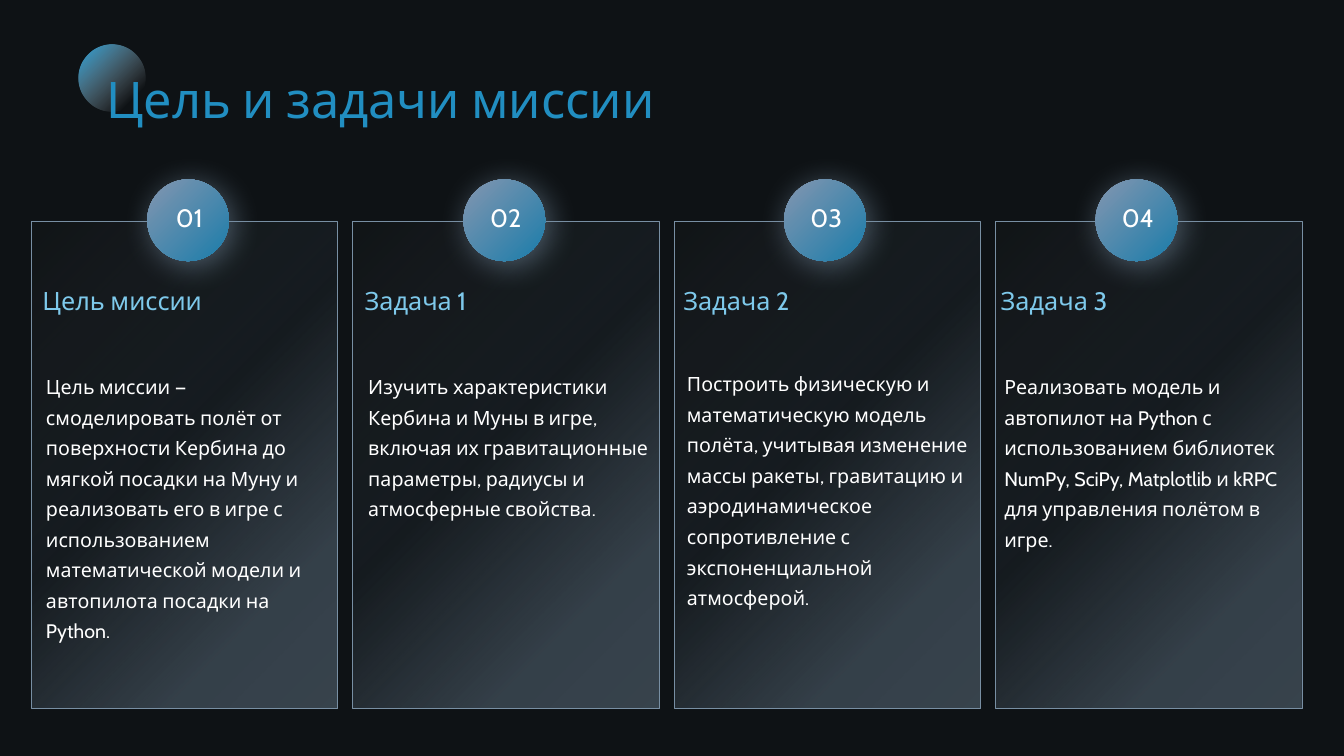
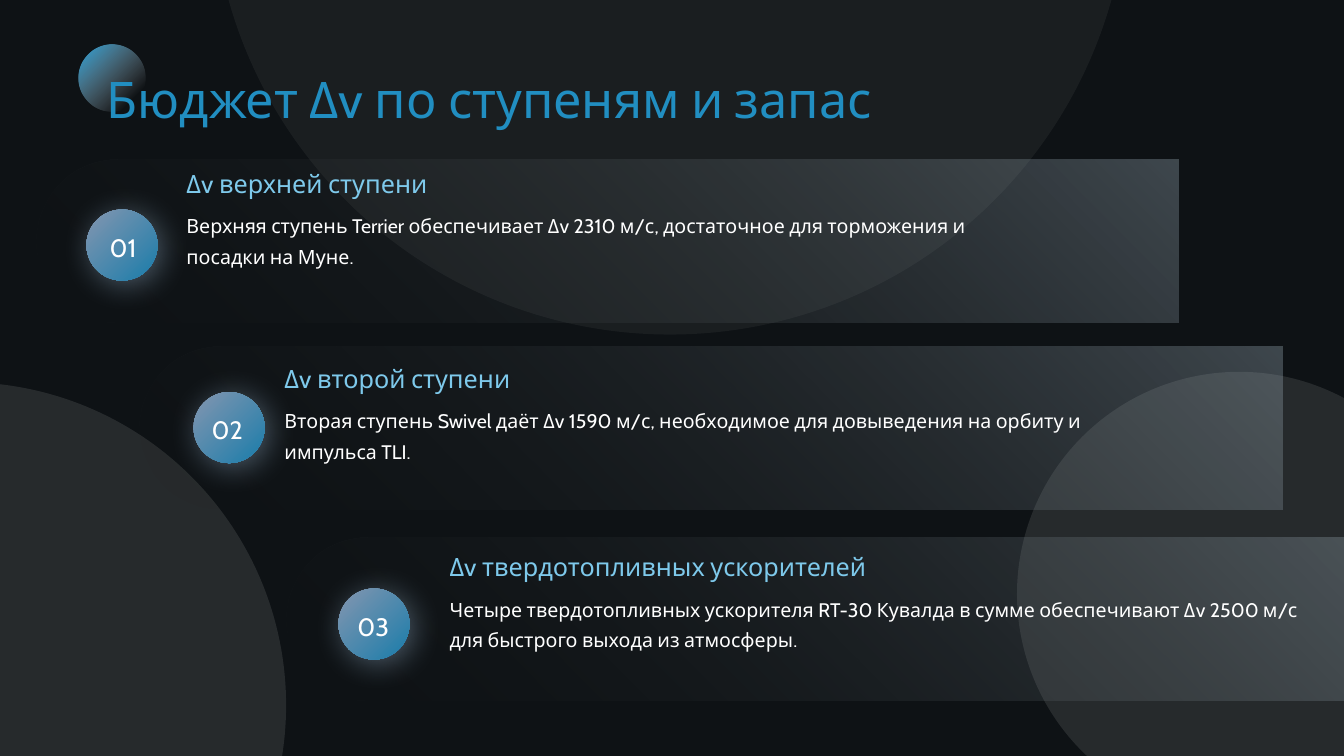
from pptx import Presentation
from pptx.dml.color import RGBColor
from pptx.enum.shapes import MSO_SHAPE
from pptx.enum.text import MSO_ANCHOR, MSO_AUTO_SIZE, PP_ALIGN
from pptx.oxml import parse_xml
from pptx.oxml.ns import nsdecls, qn
from pptx.util import Cm, Pt

RECTANGLE = MSO_SHAPE.RECTANGLE
OVAL = MSO_SHAPE.OVAL
ROUND_TOP = MSO_SHAPE.ROUND_2_SAME_RECTANGLE
LEFT, CENTER = PP_ALIGN.LEFT, PP_ALIGN.CENTER
TOP = MSO_ANCHOR.TOP
GROW, FIXED = MSO_AUTO_SIZE.SHAPE_TO_FIT_TEXT, MSO_AUTO_SIZE.NONE

# Shared style
FONT = "Cabin"
BACKGROUND = "0E1215"
TITLE_BLUE = "218EC1"
HEADING_BLUE = "7EC9EB"
WHITE = "FFFFFF"
STEEL = "788FA3"
INSET = 0.13

# Gradient stops: position %, colour, opacity %
CARD_STOPS = [(0, STEEL, 39), (22, STEEL, 36), (54, STEEL, 7), (100, "232322", 15)]
BADGE_STOPS = [(0, "8496B0", 100), (100, "1A7CAA", 100)]
ORB_STOPS = [(0, "28A4DE", 100), (81, "C5C9CE", 0), (100, "C5C9CE", 0)]
BAR_STOPS = [(0, "A4B6C2", 33), (100, "232322", 0)]
CORNER_PATH = '<a:path path="circle"><a:fillToRect l="100000" b="100000"/></a:path>'

# Goal cards: badge left, text left, body top, heading, body (cm)
CARD_LEFT, CARD_TOP, CARD_STEP = 0.79, 5.59, 8.1
CARDS = [
    (3.71, 1.07, 9.14, "Цель миссии",
     "Цель миссии — смоделировать полёт от поверхности Кербина до мягкой посадки "
     "на Муну и реализовать его в игре с использованием математической модели "
     "и автопилота посадки на Python."),
    (11.68, 9.19, 9.14, "Задача 1",
     "Изучить характеристики Кербина и Муны в игре, включая их гравитационные "
     "параметры, радиусы и атмосферные свойства."),
    (19.76, 17.22, 9.07, "Задача 2",
     "Построить физическую и математическую модель полёта, учитывая изменение "
     "массы ракеты, гравитацию и аэродинамическое сопротивление "
     "с экспоненциальной атмосферой."),
    (27.61, 25.22, 9.14, "Задача 3",
     "Реализовать модель и автопилот на Python с использованием библиотек NumPy, "
     "SciPy, Matplotlib и kRPC для управления полётом в игре."),
]

# Stage bars: bar corner, badge corner, number left, text corner, heading, body (cm)
STAGES = [
    ((0.91, 4.01), (2.18, 5.28), 2.18, (4.57, 4.11), "Δv верхней ступени",
     "Верхняя ступень Terrier обеспечивает Δv 2310 м/с, достаточное "
     "для торможения и посадки на Муне."),
    ((3.51, 8.74), (4.88, 9.88), 4.8, (7.04, 9.02), "Δv второй ступени",
     "Вторая ступень Swivel даёт Δv 1590 м/с, необходимое для довыведения "
     "на орбиту и импульса TLI."),
    ((7.21, 13.54), (8.53, 14.83), 8.48, (11.2, 13.77),
     "Δv твердотопливных ускорителей",
     "Четыре твердотопливных ускорителя RT-30 Кувалда в сумме обеспечивают "
     "Δv 2500 м/с для быстрого выхода из атмосферы."),
]

# Backdrop circles: left, top, diameter (cm), opacity %
BACKDROP = [(5.33, -14.68, 23.11, 5), (-9.07, 9.63, 16.28, 10), (25.63, 9.37, 11.2, 10)]


def colour(code):
    return RGBColor.from_string(code)


def colour_xml(code, opacity):
    return (f'<a:srgbClr val="{colour(code)}">'
            f'<a:alpha val="{opacity * 1000}"/></a:srgbClr>')


def solid_xml(code, opacity):
    return f'<a:solidFill {nsdecls("a")}>{colour_xml(code, opacity)}</a:solidFill>'


def gradient_xml(stops, angle=None):
    """Linear at the given angle, or circular from the top right corner."""
    marks = "".join(f'<a:gs pos="{position * 1000}">{colour_xml(code, opacity)}</a:gs>'
                    for position, code, opacity in stops)
    way = CORNER_PATH if angle is None else f'<a:lin ang="{angle * 60000}" scaled="0"/>'
    return (f'<a:gradFill {nsdecls("a")} rotWithShape="1">'
            f'<a:gsLst>{marks}</a:gsLst>{way}</a:gradFill>')


def add_figure(page, kind, left, top, width, height, fill):
    """Preset shape without outline or shadow, filled from XML."""
    shape = page.shapes.add_shape(kind, Cm(left), Cm(top), Cm(width), Cm(height))
    shape.shadow.inherit = False
    shape.line.fill.background()
    shape.fill.background()
    properties = shape._element.spPr
    properties.replace(properties.find(qn("a:noFill")), parse_xml(fill))
    return shape


def add_text(page, text, left, top, width, height, *, size=14, color=WHITE,
             align=LEFT, spacing=None, inset=0, fit=GROW):
    box = page.shapes.add_textbox(Cm(left), Cm(top), Cm(width), Cm(height))
    frame = box.text_frame
    frame.word_wrap = True
    frame.auto_size = fit
    frame.vertical_anchor = TOP
    frame.margin_left = frame.margin_right = Cm(inset)
    frame.margin_top = frame.margin_bottom = Cm(inset)
    para = frame.paragraphs[0]
    para.alignment = align
    if spacing:
        para.line_spacing = spacing
    span = para.add_run()
    span.text = text
    span.font.name = FONT
    span.font.size = Pt(size)
    span.font.color.rgb = colour(color)


def add_badge(page, left, top, diameter):
    """Glowing disc behind a number."""
    badge = add_figure(page, OVAL, left, top, diameter, diameter,
                       gradient_xml(BADGE_STOPS, 45))
    effects = badge._element.spPr.find(qn("a:effectLst"))
    effects.append(parse_xml(
        f'<a:outerShdw {nsdecls("a")} blurRad="{Pt(22.9)}" dist="{Pt(4)}" '
        f'dir="{45 * 60000}" algn="tl" rotWithShape="0">'
        f'{colour_xml(STEEL, 60)}</a:outerShdw>'))


def add_number(page, number, left, top, width, height, spacing=None):
    add_text(page, f"{number:02}", left, top, width, height, size=18,
             align=CENTER, spacing=spacing, fit=FIXED)


def add_page(deck):
    page = deck.slides.add_slide(deck.slide_layouts[6])
    page.background.fill.solid()
    page.background.fill.fore_color.rgb = colour(BACKGROUND)
    return page


def add_title(page, text):
    add_figure(page, OVAL, 1.98, 1.12, 1.69, 1.69, gradient_xml(ORB_STOPS, 45))
    add_text(page, text, 2.69, 1.42, 29.24, 1.83, size=36, color=TITLE_BLUE, spacing=1.2)


def add_card(page, number, badge_left, text_left, body_top, heading, body):
    left = CARD_LEFT + (number - 1) * CARD_STEP
    card = add_figure(page, RECTANGLE, left, CARD_TOP, 7.72, 12.27,
                      gradient_xml(CARD_STOPS, 225))
    card.line.color.rgb = colour(STEEL)
    card.line.width = Pt(0.5)
    add_badge(page, badge_left, 4.52, 2.06)
    add_number(page, number, badge_left, 5.11, 2.13, 0.94)
    add_text(page, heading, text_left, 7.19, 7.24, 0.76, size=18, color=HEADING_BLUE)
    add_text(page, body, text_left - 0.04, body_top, 7.39, 7.19, spacing=1.3, inset=INSET)


def add_stage(page, number, bar_corner, badge_corner, number_left, text_corner,
              heading, body):
    # The bar is an upright shape turned on its side
    length, depth = 28.8, 4.11
    shift = (length - depth) / 2
    bar = add_figure(page, ROUND_TOP, bar_corner[0] + shift, bar_corner[1] - shift,
                     depth, length, gradient_xml(BAR_STOPS))
    bar.adjustments[0] = 0.5
    bar.adjustments[1] = 0
    bar.rotation = 270
    add_badge(page, *badge_corner, 1.79)
    add_number(page, number, number_left, badge_corner[1] + 0.49, 1.85, 0.81, spacing=1.1)
    left, top = text_corner
    add_text(page, heading, left, top, 21.44, 0.76, size=18, color=HEADING_BLUE, inset=INSET)
    add_text(page, body, left, top + 0.98, 21.79, 1.6, spacing=1.3, inset=INSET)


def build_goals(deck):
    page = add_page(deck)
    for number, card in enumerate(CARDS, 1):
        add_card(page, number, *card)
    add_title(page, "Цель и задачи миссии")


def build_budget(deck):
    page = add_page(deck)
    for left, top, diameter, opacity in BACKDROP:
        add_figure(page, OVAL, left, top, diameter, diameter, solid_xml(WHITE, opacity))
    for number, stage in enumerate(STAGES, 1):
        add_stage(page, number, *stage)
    add_title(page, "Бюджет Δv по ступеням и запас")


def main():
    deck = Presentation()
    deck.slide_width, deck.slide_height = Cm(33.87), Cm(19.05)
    build_goals(deck)
    build_budget(deck)
    deck.save("out.pptx")


if __name__ == "__main__":
    main()
